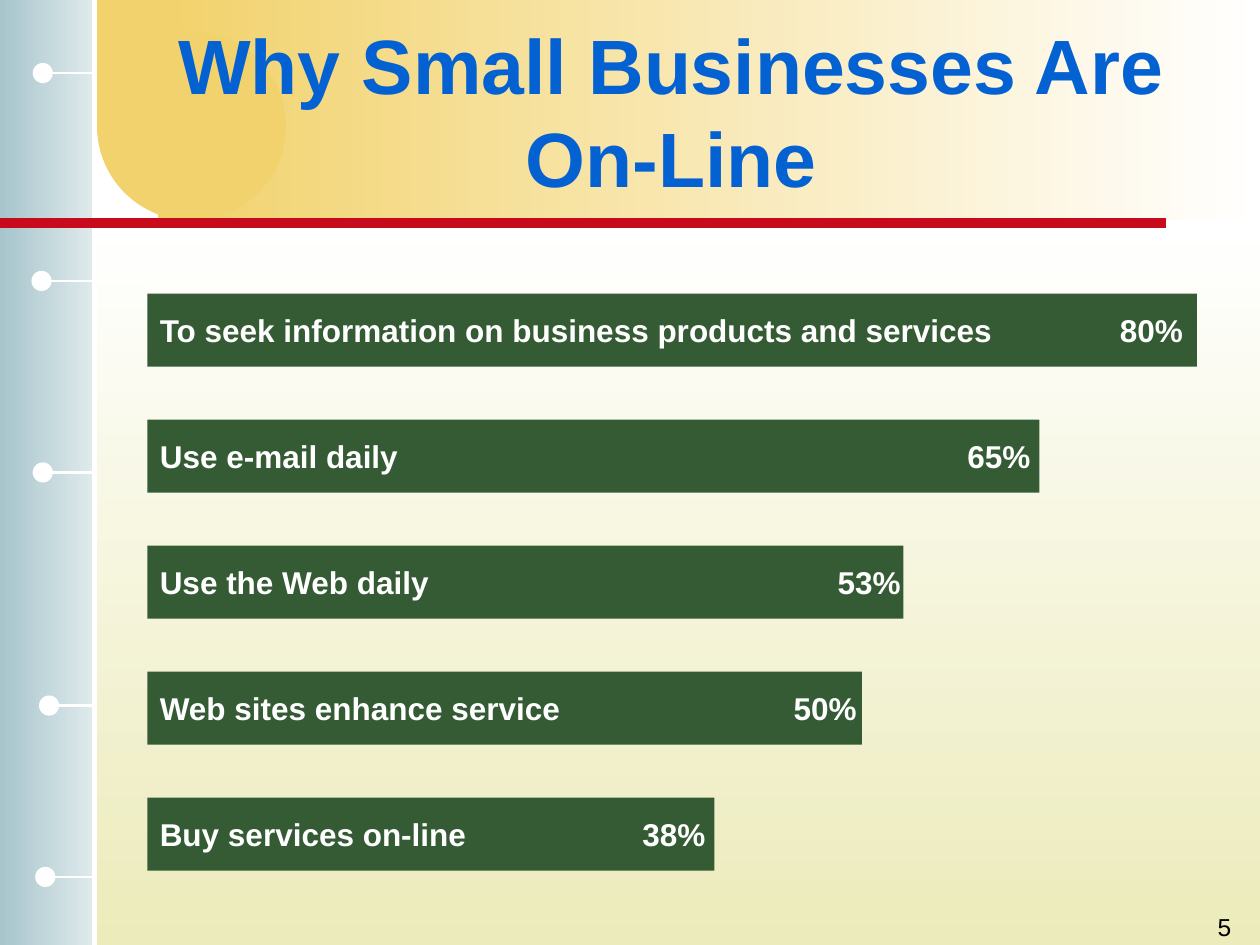
from dataclasses import dataclass

from lxml.etree import SubElement
from pptx import Presentation
from pptx.dml.color import RGBColor
from pptx.enum.shapes import MSO_CONNECTOR, MSO_SHAPE
from pptx.enum.text import MSO_ANCHOR, PP_ALIGN
from pptx.oxml.ns import qn
from pptx.util import Inches, Pt


@dataclass(frozen=True)
class Theme:
    """Colours, font and type sizes of the slide."""
    white: str = "FFFFFF"
    black: str = "000000"
    cream: str = "ECEBBB"
    mist: str = "E0EAEC"
    teal: str = "A6C5CC"
    gold: str = "F2D26C"
    red: str = "C70B1D"
    blue: str = "0461D2"
    green: str = "355B35"
    font: str = "Arial"
    head: int = 44
    body: int = 18
    foot: int = 14


THEME = Theme()
TITLE = "Why Small Businesses Are On-Line"
PAGE = "5"

# label, share, bar width, gap between the share and the bar's end
BARS = [
    ("To seek information on business products and services", "80%", 8.33, 0.11),
    ("Use e-mail daily", "65%", 7.08, 0.07),
    ("Use the Web daily", "53%", 6, 0.02),
    ("Web sites enhance service", "50%", 5.67, 0.04),
    ("Buy services on-line", "38%", 4.5, 0.07),
]
BAR_LEFT, BAR_TOP, BAR_STEP, BAR_HIGH = 1.17, 2.33, 1, 0.58
INSET = 0.1

# dot left, line start, line end, height on the page
PINS = [
    (0.26, 0.42, 0.75, 0.58),
    (0.25, 0.33, 1.17, 2.23),
    (0.26, 0.4, 0.73, 3.75),
    (0.31, 0.42, 0.75, 5.6),
    (0.28, 0.4, 0.73, 6.96),
]
DOT = 0.16

# shape, box, one colour or two gradient colours, gradient angle
PANELS = [
    (MSO_SHAPE.RECTANGLE, (0.73, 1.77, 9.27, 5.73), (THEME.white, THEME.cream), 270),
    (MSO_SHAPE.RECTANGLE, (0, 0, 0.75, 7.5), (THEME.mist, THEME.teal), 180),
    (MSO_SHAPE.RECTANGLE, (1.25, 0, 8.75, 1.75), (THEME.white, THEME.gold), 180),
    (MSO_SHAPE.OVAL, (0.77, 0.25, 1.5, 1.5), (THEME.gold,), 0),
    (MSO_SHAPE.RECTANGLE, (0.77, 0, 0.67, 0.96), (THEME.gold,), 0),
]


def rgb(code):
    """Turn a hex code into a colour."""
    return RGBColor.from_string(code)


def add_box(slide, kind, box, tones, angle=0):
    """Add a preset shape with a plain or two-colour fill."""
    shape = slide.shapes.add_shape(kind, *map(Inches, box))
    shape.shadow.inherit = False
    shape.line.fill.background()
    if len(tones) == 1:
        shape.fill.solid()
        shape.fill.fore_color.rgb = rgb(tones[0])
    else:
        shape.fill.gradient()
        shape.fill.gradient_angle = angle
        for stop, tone in zip(shape.fill.gradient_stops, tones):
            stop.color.rgb = rgb(tone)
    return shape


def add_line(slide, start, end, tone, width):
    """Add a straight line without a shadow."""
    line = slide.shapes.add_connector(
        MSO_CONNECTOR.STRAIGHT, *map(Inches, start + end))
    line.line.color.rgb = rgb(tone)
    line.line.width = Pt(width)
    SubElement(line._element.spPr, qn("a:effectLst"))


def put_text(shape, text, size, tone, bold=False, align=PP_ALIGN.LEFT,
             anchor=MSO_ANCHOR.MIDDLE, right=INSET, tab=None):
    """Write one paragraph, with an optional right-aligned tab stop."""
    frame = shape.text_frame
    frame.word_wrap = True
    frame.vertical_anchor = anchor
    frame.margin_left, frame.margin_right = Inches(INSET), Inches(right)
    para = frame.paragraphs[0]
    para.alignment = align
    run = para.add_run()
    run.text = text
    font = run.font
    font.name, font.size, font.bold = THEME.font, Pt(size), bold
    font.color.rgb = rgb(tone)
    if tab is not None:
        stops = SubElement(para._p.get_or_add_pPr(), qn("a:tabLst"))
        SubElement(stops, qn("a:tab"), pos=str(Inches(tab)), algn="r")


def add_text(slide, box, text, size, tone, **form):
    """Add a text box."""
    shape = slide.shapes.add_textbox(*map(Inches, box))
    put_text(shape, text, size, tone, **form)


def draw_frame(slide):
    """Draw the panels, rules and pins behind the content."""
    for panel in PANELS:
        add_box(slide, *panel)
    add_line(slide, (0.75, 0), (0.75, 7.5), THEME.white, 3)
    for left, start, end, y in PINS:
        add_line(slide, (end, y), (start, y), THEME.white, 1.5)
        add_box(slide, MSO_SHAPE.OVAL, (left, y - DOT / 2, DOT, DOT), (THEME.white,))
    add_line(slide, (0, 1.77), (9.25, 1.77), THEME.red, 6)


def draw_bars(slide):
    """Draw one labelled bar for each answer."""
    for row, (label, share, width, gap) in enumerate(BARS):
        box = (BAR_LEFT, BAR_TOP + row * BAR_STEP, width, BAR_HIGH)
        bar = add_box(slide, MSO_SHAPE.RECTANGLE, box, (THEME.green,))
        put_text(bar, f"{label}\t{share}", THEME.body, THEME.white, bold=True,
                 right=0, tab=width - INSET - gap)


def main():
    """Build and save the slide."""
    deck = Presentation()
    deck.slide_width, deck.slide_height = Inches(10), Inches(7.5)
    slide = deck.slides.add_slide(deck.slide_layouts[6])
    draw_frame(slide)
    add_text(slide, (1.08, 0.25, 8.5, 1.25), TITLE, THEME.head, THEME.blue,
             bold=True, align=PP_ALIGN.CENTER)
    draw_bars(slide)
    add_text(slide, (7.79, 7.19, 2.08, 0.31), PAGE, THEME.foot, THEME.black,
             align=PP_ALIGN.RIGHT, anchor=MSO_ANCHOR.TOP)
    deck.save("out.pptx")


main()
